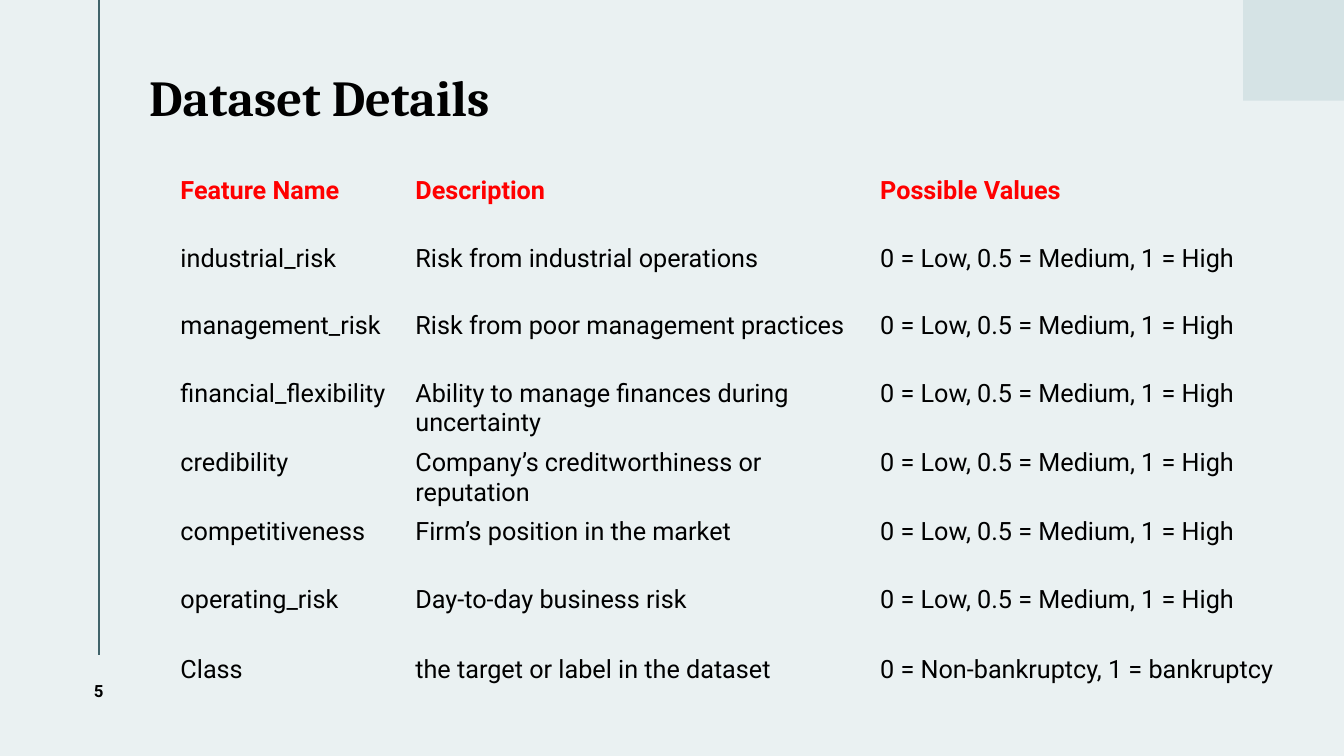
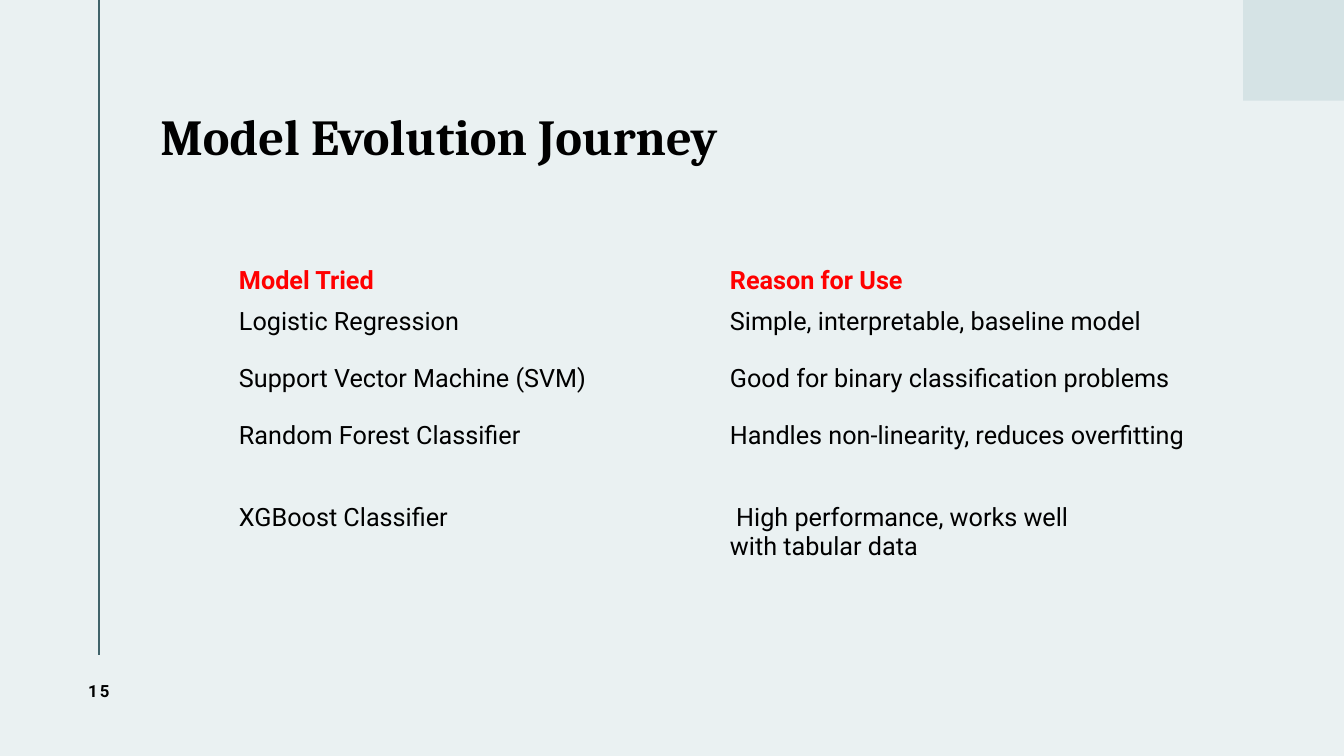
from dataclasses import dataclass

from lxml.etree import SubElement
from pptx import Presentation
from pptx.dml.color import RGBColor
from pptx.enum.shapes import MSO_CONNECTOR, MSO_SHAPE
from pptx.enum.text import MSO_ANCHOR, MSO_AUTO_SIZE, PP_ALIGN
from pptx.oxml.ns import qn
from pptx.util import Inches, Pt


@dataclass(frozen=True)
class Theme:
    background: str = "EAF1F2"
    rule: str = "40636A"
    corner: str = "D5E3E5"
    ink: str = "000000"
    heading: str = "FF0000"
    title_font: str = "Cambria"
    body_font: str = "Roboto"
    title_size: int = 36
    body_size: int = 18
    number_size: int = 12


THEME = Theme()
WIDTH, HEIGHT = 13.33, 7.5
RULE_X, RULE_END = 0.98, 6.5
NUMBER_BOX = (0.45, RULE_END, 1.06, 0.71)
PLAIN_TABLE = "{2D5ABB26-0587-4C30-8999-92F81FD0307C}"
RISK_LEVELS = "0 = Low, 0.5 = Medium, 1 = High"
TABULAR = chr(160).join(("with", "tabular", "data"))

RISKS = [
    ("industrial_risk", "Risk from industrial operations"),
    ("management_risk", "Risk from poor management practices"),
    ("financial_flexibility", "Ability to manage finances during uncertainty"),
    ("credibility", "Company’s creditworthiness or reputation"),
    ("competitiveness", "Firm’s position in the market"),
    ("operating_risk", "Day-to-day business risk"),
]

PAGES = [
    {
        "number": "5",
        "title": "Dataset Details",
        "title_box": (1.48, 0.63, 5.07, 0.72),
        "table_at": (1.69, 1.7),
        "columns": [2.33, 4.61, 4.25],
        "rows": [0.67] * 6 + [0.7, 0.67],
        "cells": [
            ("Feature Name", "Description", "Possible Values"),
            *[(*risk, RISK_LEVELS) for risk in RISKS],
            ("Class", "the target or label in the dataset",
             "0 = Non-bankruptcy, 1 = bankruptcy"),
        ],
    },
    {
        "number": "15",
        "title": "Model Evolution Journey",
        "title_box": (1.59, 0.81, 6.95, 1.14),
        "table_at": (2.27, 2.59),
        "columns": [4.87, 5.05],
        "rows": [0.41, 0.56, 0.57, 0.81, 0.41],
        "cells": [
            ("Model Tried", "Reason for Use"),
            ("Logistic Regression", "Simple, interpretable, baseline model"),
            ("Support Vector Machine (SVM)", "Good for binary classification problems"),
            ("Random Forest Classifier", "Handles non-linearity, reduces overfitting"),
            ("XGBoost Classifier", f" High performance, works well {TABULAR}"),
        ],
    },
]


def apply(target, **values):
    for name, value in values.items():
        setattr(target, name, value)


def inches(*lengths):
    return [Inches(length) for length in lengths]


def write(frame, text, font, size, color, bold, **para_format):
    para = frame.paragraphs[0]
    apply(para, **para_format)
    span = para.add_run()
    span.text = text
    apply(span.font, name=font, size=Pt(size), bold=bold)
    span.font.color.rgb = RGBColor.from_string(color)
    return span


def decorate(deck, layout, page):
    fill = deck.slide_master.background.fill
    fill.solid()
    fill.fore_color.rgb = RGBColor.from_string(THEME.background)

    rule = page.shapes.add_connector(
        MSO_CONNECTOR.STRAIGHT, *inches(RULE_X, 0, RULE_X, RULE_END))
    rule.line.color.rgb = RGBColor.from_string(THEME.rule)
    rule.line.width = Pt(1.5)
    SubElement(rule.element.spPr, qn("a:effectLst"))

    corner = page.shapes.add_shape(
        MSO_SHAPE.RECTANGLE, *inches(WIDTH - 1, 0, 1, 1))
    corner.shadow.inherit = False
    corner.fill.solid()
    corner.fill.fore_color.rgb = RGBColor.from_string(THEME.corner)
    corner.line.fill.background()

    for shape in (rule, corner):
        layout.shapes.element.append(shape.element)


def add_title(page, text, bounds):
    box = page.shapes.title
    apply(box, **dict(zip(("left", "top", "width", "height"), inches(*bounds))))
    apply(box.text_frame, margin_left=0, margin_right=Inches(0.1),
          margin_top=Inches(0.05), margin_bottom=Inches(0.05),
          word_wrap=True, auto_size=MSO_AUTO_SIZE.NONE,
          vertical_anchor=MSO_ANCHOR.MIDDLE)
    write(box.text_frame, text, THEME.title_font, THEME.title_size, THEME.ink,
          True, alignment=PP_ALIGN.LEFT, line_spacing=0.9)


def add_grid(page, position, columns, rows, cells):
    frame = page.shapes.add_table(
        len(rows), len(columns),
        *inches(*position, sum(columns), sum(rows)))
    table = frame.table
    apply(table, first_row=False, horz_banding=False)
    table._tbl.tblPr.find(qn("a:tableStyleId")).text = PLAIN_TABLE
    for column, width in zip(table.columns, columns):
        column.width = Inches(width)
    for index, (row, height, texts) in enumerate(zip(table.rows, rows, cells)):
        row.height = Inches(height)
        header = index == 0
        for cell, text in zip(row.cells, texts):
            cell.fill.background()
            write(cell.text_frame, text, THEME.body_font, THEME.body_size,
                  THEME.heading if header else THEME.ink, header)


def add_number(page, number):
    box = page.shapes.add_textbox(*inches(*NUMBER_BOX))
    apply(box.text_frame, word_wrap=True, vertical_anchor=MSO_ANCHOR.MIDDLE)
    span = write(box.text_frame, number, THEME.body_font, THEME.number_size,
                 THEME.ink, True, alignment=PP_ALIGN.CENTER)
    span._r.get_or_add_rPr().set("spc", "150")


def main():
    deck = Presentation()
    apply(deck, slide_width=Inches(WIDTH), slide_height=Inches(HEIGHT))
    layout = deck.slide_layouts.get_by_name("Title Only")
    for index, content in enumerate(PAGES):
        page = deck.slides.add_slide(layout)
        if index == 0:
            decorate(deck, layout, page)
        add_title(page, content["title"], content["title_box"])
        add_grid(page, content["table_at"], content["columns"],
                 content["rows"], content["cells"])
        add_number(page, content["number"])
    deck.save("out.pptx")


if __name__ == "__main__":
    main()
